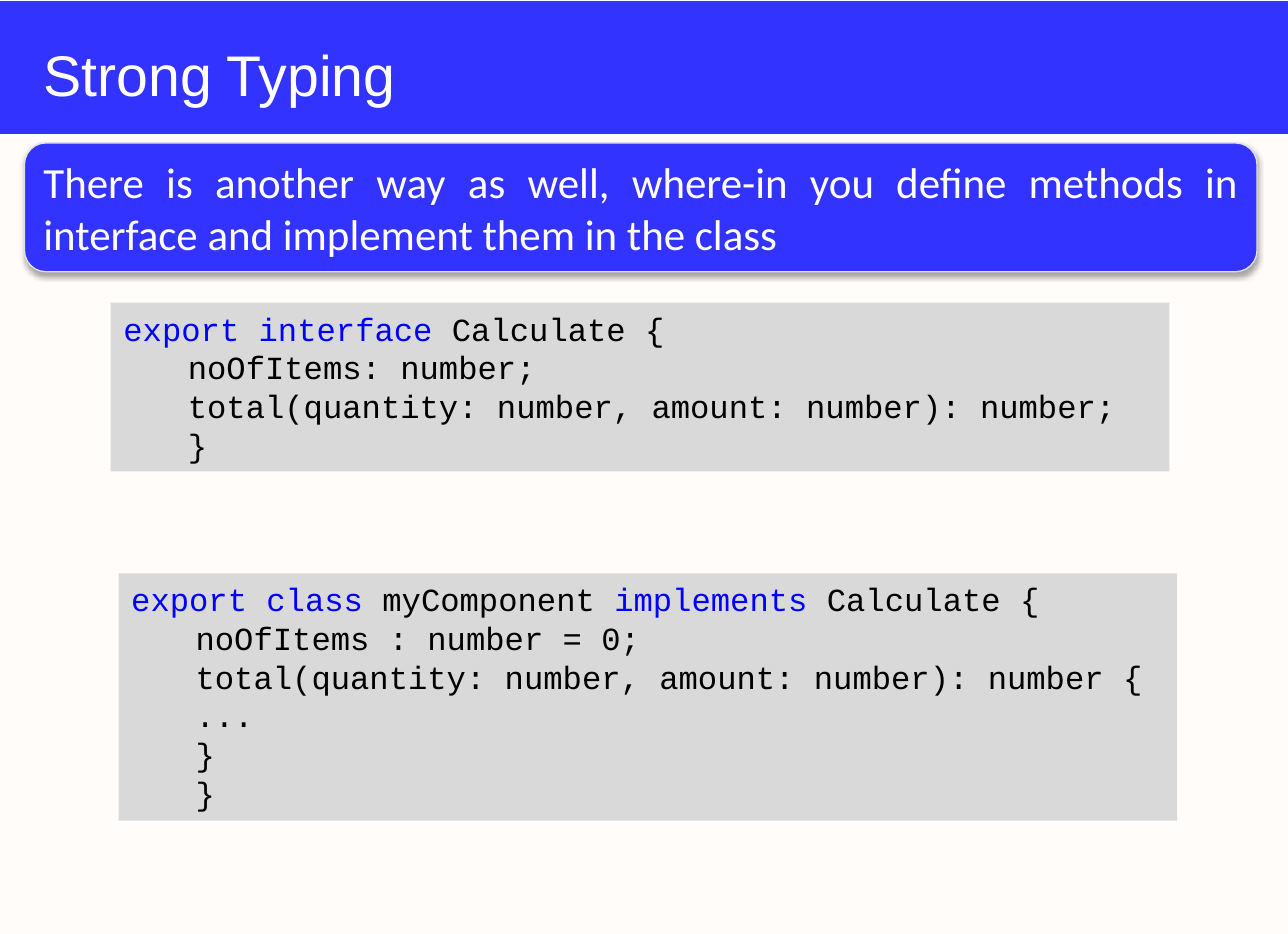
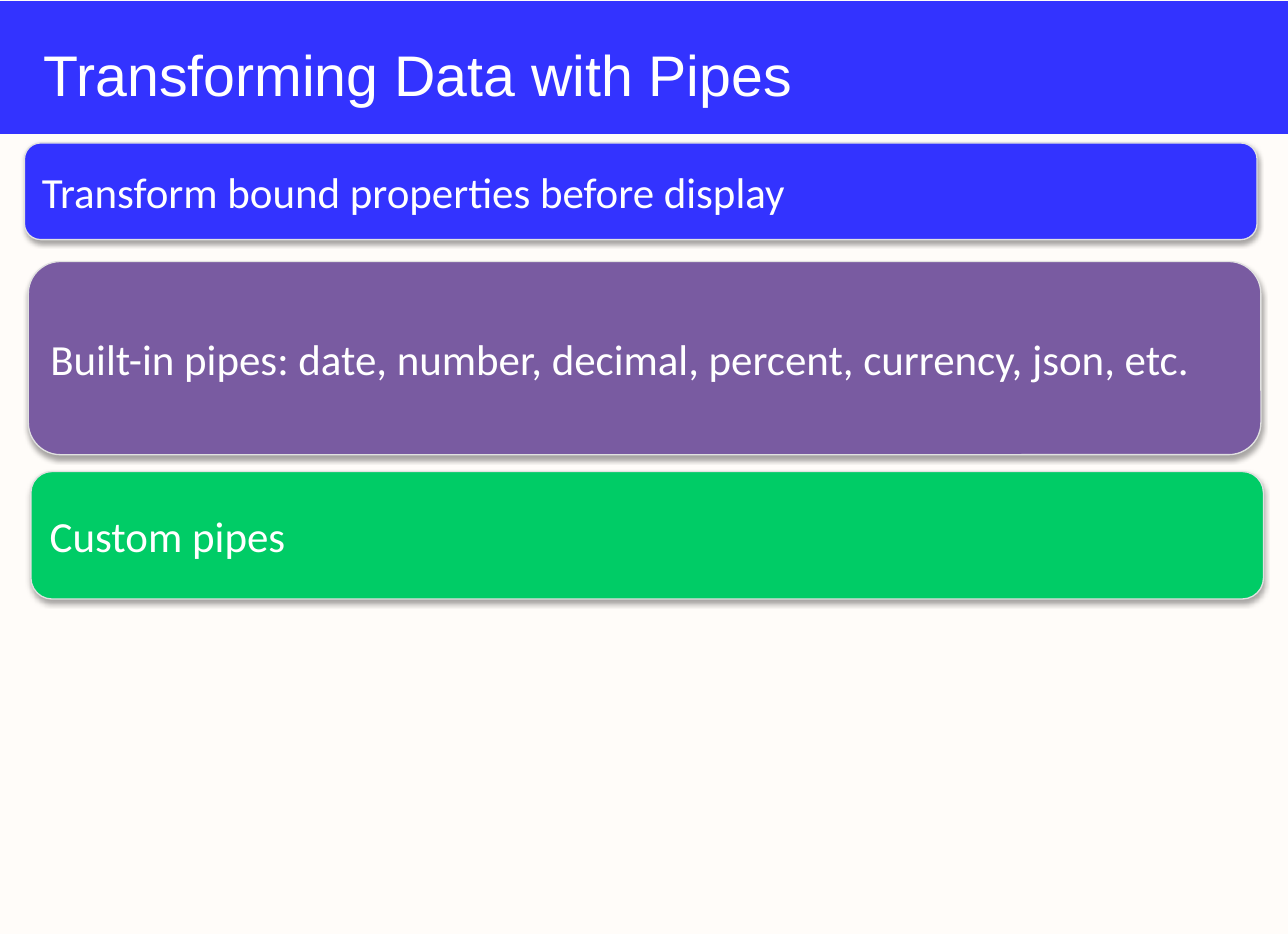
from lxml.etree import SubElement
from pptx import Presentation
from pptx.dml.color import RGBColor
from pptx.enum.shapes import MSO_SHAPE
from pptx.enum.text import MSO_ANCHOR, PP_ALIGN
from pptx.oxml.ns import qn
from pptx.util import Inches, Pt

CELL = Inches(0.1)
COLUMNS, ROWS = 100, 72.5
CARD_WIDTH, CODE_WIDTH = 95.7, 82.2

PAPER, BLUE, PURPLE, GREEN = "FFFCF9", "3333FF", "795BA1", "00CC66"
WHITE, BLACK, EDGE = "FFFFFF", "000000", "E1E1E1"
CODE_FILL, KEYWORD = "D9D9D9", "0000FF"

INTERFACE_CODE = [
    [("export interface ", KEYWORD), ("Calculate {", BLACK)],
    [("noOfItems: number;", BLACK)],
    [("total(quantity: number, amount: number): number;", BLACK)],
    [("}", BLACK)],
]
CLASS_CODE = [
    [("export class ", KEYWORD), ("myComponent ", BLACK),
     ("implements ", KEYWORD), ("Calculate {", BLACK)],
    [("noOfItems : number = 0;", BLACK)],
    [("total(quantity: number, amount: number): number {", BLACK)],
    [("...", BLACK)],
    [("}", BLACK)],
    [("}", BLACK)],
]


def paint(color_format, color):
    color_format.rgb = RGBColor.from_string(color)


def cells(*lengths):
    return [round(length * CELL) for length in lengths]


def add_run(paragraph, text, font, size, color):
    run = paragraph.add_run()
    run.text = text
    run.font.name = font
    run.font.size = Pt(size)
    paint(run.font.color, color)


def add_block(slide, preset, box, color):
    block = slide.shapes.add_shape(preset, *cells(*box))
    block.shadow.inherit = False
    block.fill.solid()
    paint(block.fill.fore_color, color)
    block.line.fill.background()
    block.text_frame.word_wrap = True
    return block


def add_soft_shadow(block):
    effects = block._element.spPr.find(qn("a:effectLst"))
    shadow = SubElement(effects, qn("a:outerShdw"), blurRad=str(Pt(3.1)),
                        dist=str(Pt(1.8)), dir="5400000", rotWithShape="0")
    tint = SubElement(shadow, qn("a:srgbClr"), val=BLACK)
    SubElement(tint, qn("a:alpha"), val="35000")


def add_titled_slide(deck, title):
    slide = deck.slides.add_slide(deck.slide_layouts[6])
    slide.background.fill.solid()
    paint(slide.background.fill.fore_color, PAPER)
    add_block(slide, MSO_SHAPE.RECTANGLE, (0, 0.1, COLUMNS, 10.3), BLUE)
    heading = slide.shapes.add_textbox(*cells(2.4, 2.7, CARD_WIDTH, 6)).text_frame
    heading.word_wrap = True
    heading.vertical_anchor = MSO_ANCHOR.MIDDLE
    add_run(heading.paragraphs[0], title, "Arial", 32, WHITE)
    return slide


def add_card(slide, left, top, height, color, text):
    box = (left, top, CARD_WIDTH, height)
    card = add_block(slide, MSO_SHAPE.ROUNDED_RECTANGLE, box, color)
    card.line.width = Pt(0.75)
    paint(card.line.color, EDGE)
    add_soft_shadow(card)
    card.text_frame.vertical_anchor = MSO_ANCHOR.MIDDLE
    message = card.text_frame.paragraphs[0]
    message.alignment = PP_ALIGN.JUSTIFY
    add_run(message, text, "Calibri", 24, WHITE)


def add_code(slide, left, top, height, lines):
    box = (left, top, CODE_WIDTH, height)
    listing = add_block(slide, MSO_SHAPE.RECTANGLE, box, CODE_FILL).text_frame
    listing.vertical_anchor = MSO_ANCHOR.TOP
    for number, line in enumerate(lines):
        paragraph = listing.add_paragraph() if number else listing.paragraphs[0]
        paragraph.alignment = PP_ALIGN.LEFT
        if number:
            paragraph.level = 1
        properties = paragraph._p.get_or_add_pPr()
        properties.set("marL", str(Inches(0.5) if number else 0))
        properties.set("indent", "0")
        for text, color in line:
            add_run(paragraph, text, "Courier New", 18, color)


def main():
    deck = Presentation()
    deck.slide_width, deck.slide_height = cells(COLUMNS, ROWS)

    typing_slide = add_titled_slide(deck, "Strong Typing")
    add_card(typing_slide, 1.9, 11.1, 10, BLUE,
             "There is another way as well, where-in you define methods in "
             "interface and implement them in the class")
    add_code(typing_slide, 8.6, 23.5, 13.1, INTERFACE_CODE)
    add_code(typing_slide, 9.2, 44.5, 19.2, CLASS_CODE)

    pipes_slide = add_titled_slide(deck, "Transforming Data with Pipes")
    for card in (
        (1.9, 11.1, 7.5, BLUE, "Transform bound properties before display"),
        (2.2, 20.3, 15, PURPLE,
         "Built-in pipes: date, number, decimal, percent, currency, json, etc."),
        (2.4, 36.6, 9.9, GREEN, "Custom pipes"),
    ):
        add_card(pipes_slide, *card)

    deck.save("out.pptx")


main()
